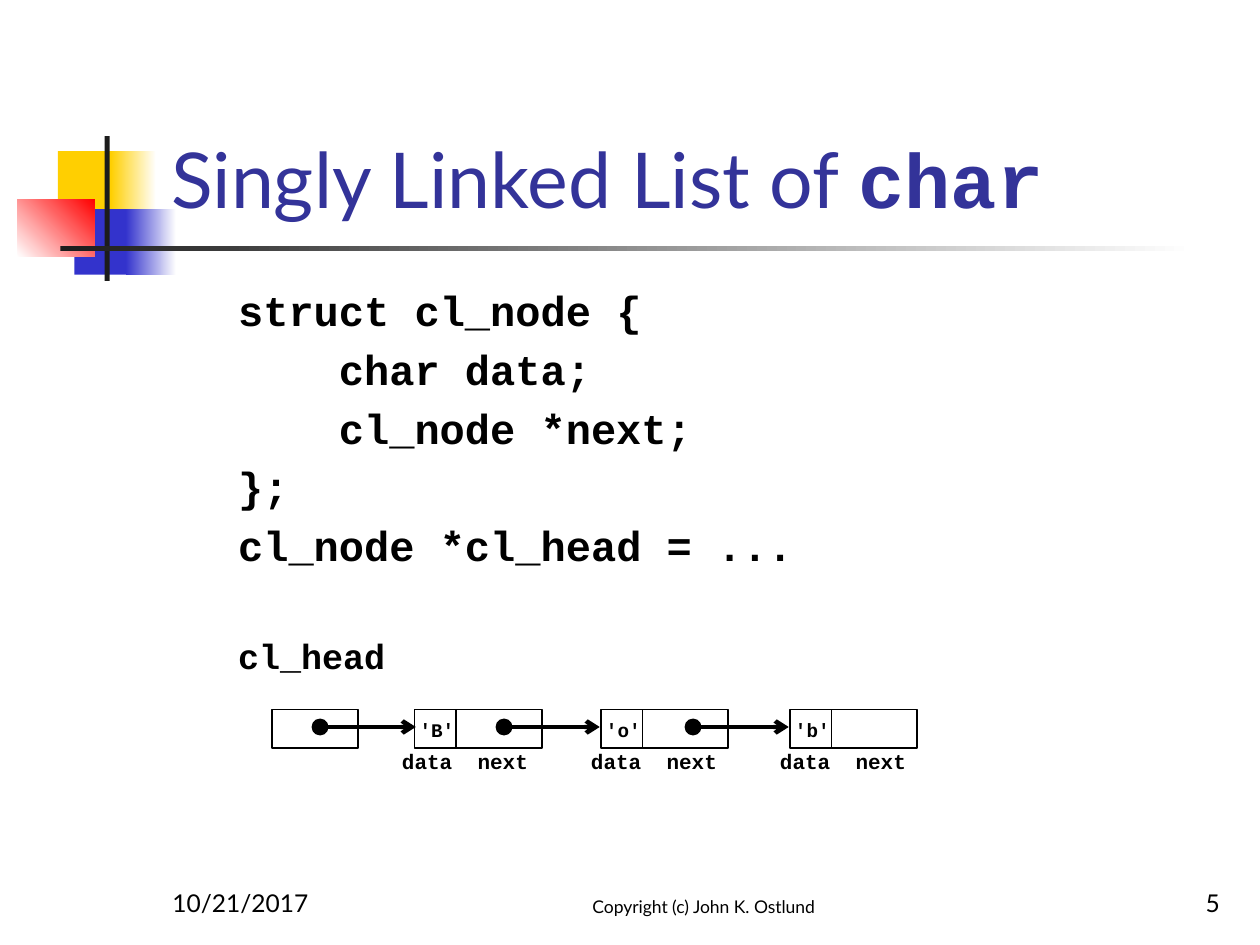
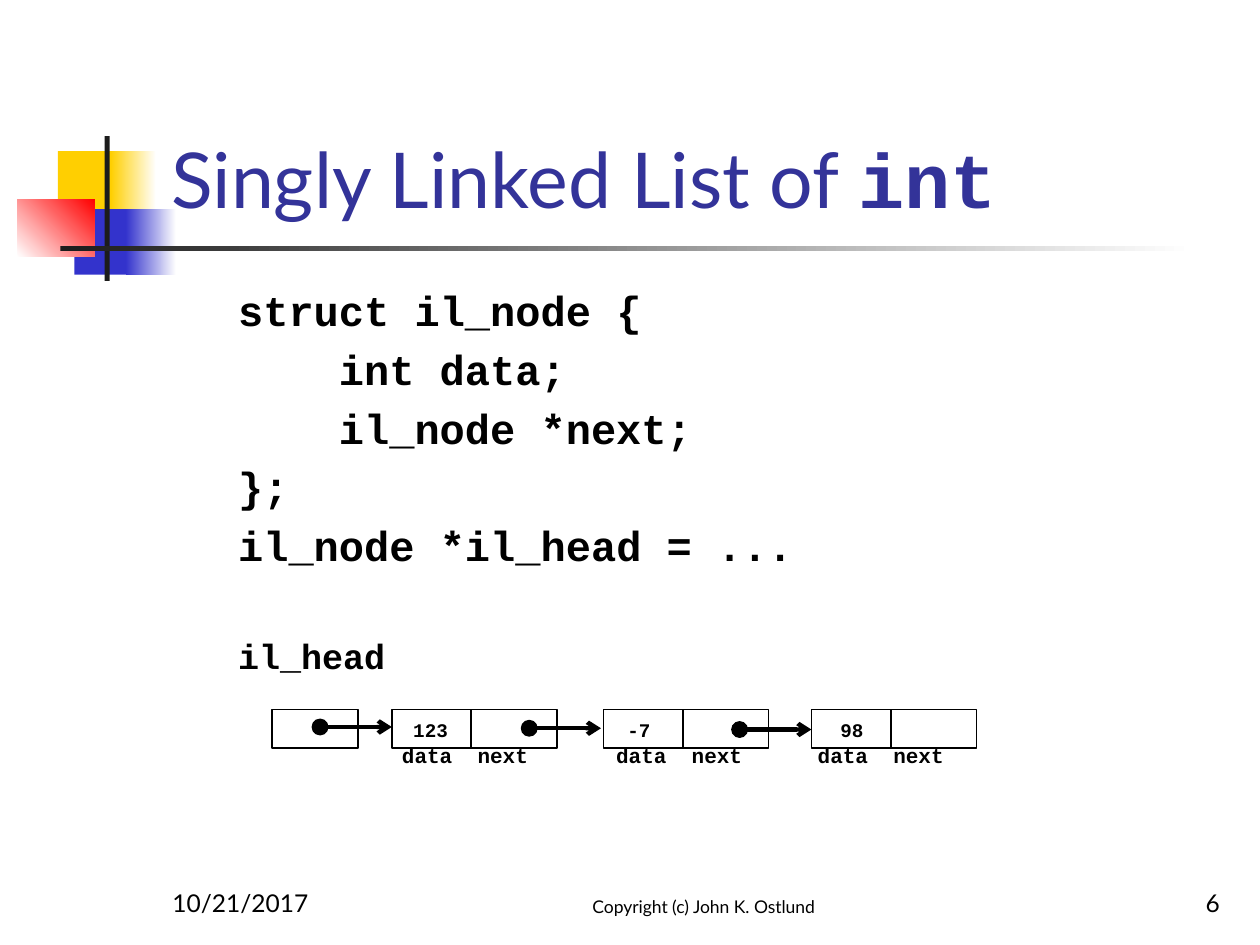
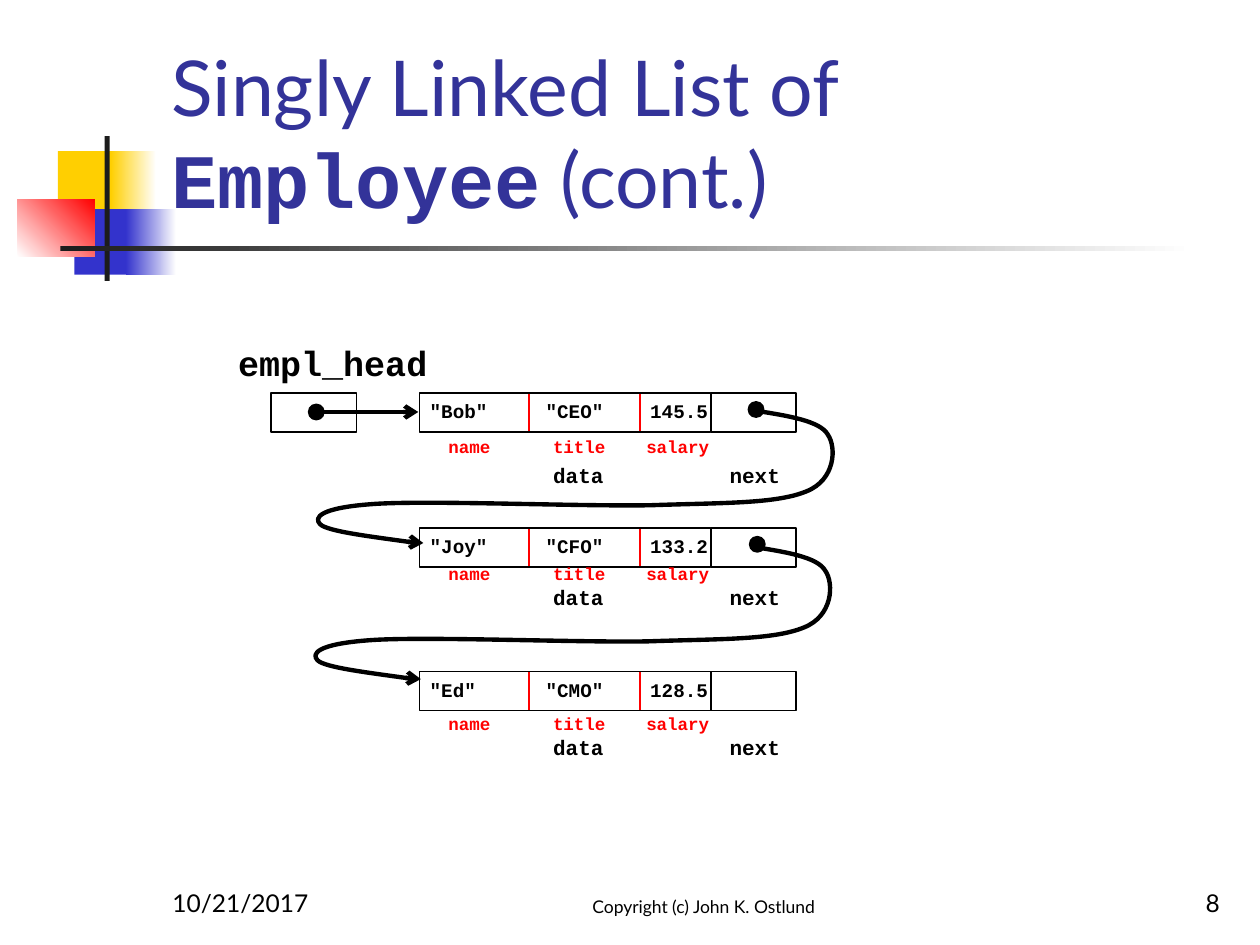
from pptx import Presentation
from pptx.dml.color import RGBColor
from pptx.enum.shapes import MSO_CONNECTOR, MSO_SHAPE
from pptx.enum.text import MSO_ANCHOR, PP_ALIGN
from pptx.oxml.ns import qn
from pptx.util import Inches, Pt
from lxml import etree

RECT, OVAL, STRAIGHT = MSO_SHAPE.RECTANGLE, MSO_SHAPE.OVAL, MSO_CONNECTOR.STRAIGHT
TOP, BOTTOM = MSO_ANCHOR.TOP, MSO_ANCHOR.BOTTOM
LEFT, CENTER, RIGHT = PP_ALIGN.LEFT, PP_ALIGN.CENTER, PP_ALIGN.RIGHT

COLORS = {"white": "FFFFFF", "black": "000000", "ink": "1C1C1C", "title": "333399",
          "yellow": "FFCF01", "blue": "3333CC", "red": "FF0000"}
SANS, MONO = "Lato", "Courier New"
CELL_H, NEXT_W, DOT = 0.31, 0.68, 0.12

# Cubic segments of the pointer that loops back to the next row, from its start:
# two control points and an end point each
LOOP = [(0.25, 0.04), (0.51, 0.08), (0.57, 0.19),
        (0.64, 0.29), (0.63, 0.55), (0.40, 0.64),
        (0.16, 0.74), (-0.27, 0.73), (-0.84, 0.75),
        (-1.41, 0.76), (-2.59, 0.71), (-3.03, 0.74),
        (-3.47, 0.77), (-3.51, 0.85), (-3.46, 0.90),
        (-3.40, 0.96), (-3.04, 1.00), (-2.69, 1.05)]


def color(name):
    """Return the named colour."""
    return RGBColor.from_string(COLORS[name])


def set_font(font, name, size, tint="black", bold=False):
    """Set face, size, colour and weight of a font."""
    font.name, font.size, font.bold = name, Pt(size), bold
    font.color.rgb = color(tint)


def add_box(slide, x, y, w, h, anchor=TOP):
    """Add a wrapping text box and return its text frame."""
    tf = slide.shapes.add_textbox(Inches(x), Inches(y), Inches(w), Inches(h)).text_frame
    tf.word_wrap, tf.vertical_anchor = True, anchor
    return tf


def add_label(slide, x, y, words, size, stops=(), tint="black"):
    """Add a line of bold code words from x, y, the later ones at tab stops."""
    width = (stops[-1] if stops else 0) + 0.7
    tf = add_box(slide, x, y, width, 0.2)
    tf.margin_left = tf.margin_right = tf.margin_top = tf.margin_bottom = 0
    p = tf.paragraphs[0]
    p.text = "\t".join(words)
    if stops:
        tabs = etree.SubElement(p._p.get_or_add_pPr(), qn("a:tabLst"))
        for stop in stops:
            etree.SubElement(tabs, qn("a:tab"), pos=str(Inches(stop)), algn="l")
    set_font(p.font, MONO, size, tint, True)


def add_shape(slide, x, y, w, h, kind=RECT, fill=None, fade=None, angle=0, line=None):
    """Add a preset shape, open, filled or fading from one colour to another."""
    sp = slide.shapes.add_shape(kind, Inches(x), Inches(y), Inches(w), Inches(h))
    sp.shadow.inherit = False
    if fade:
        sp.fill.gradient()
        sp.fill.gradient_angle = angle
        for stop, name in zip(sp.fill.gradient_stops, (fill, fade)):
            stop.color.rgb = color(name)
    elif fill:
        sp.fill.solid()
        sp.fill.fore_color.rgb = color(fill)
    else:
        sp.fill.background()
    if line:
        sp.line.color.rgb = color(line)
        sp.line.width = Pt(1)
    else:
        sp.line.fill.background()


def add_cell(slide, x, y, w, line="black"):
    """Add one open cell of a node."""
    add_shape(slide, x, y, w, CELL_H, line=line)


def add_arrow(slide, x1, y1, x2, y2):
    """Add a thick line with an open arrowhead at its end."""
    line = slide.shapes.add_connector(STRAIGHT, Inches(x1), Inches(y1), Inches(x2), Inches(y2))
    line.line.color.rgb = color("black")
    line.line.width = Pt(2.5)
    etree.SubElement(line.line._get_or_add_ln(), qn("a:tailEnd"), type="arrow")
    etree.SubElement(line._element.spPr, qn("a:effectLst"))


def add_dot(slide, x, y):
    """Add the dot where a pointer starts."""
    add_shape(slide, x, y, DOT, DOT, OVAL, fill="black", line="black")


def add_pointer(slide, x, y, length):
    """Add a dot at x, y with a straight arrow leaving it."""
    add_arrow(slide, x + DOT, y + DOT / 2, x + DOT + length, y + DOT / 2)
    add_dot(slide, x, y)


def add_loop(slide, x, y):
    """Add the curved pointer that starts at x, y and ends at the next row."""
    fb = slide.shapes.build_freeform(Inches(x), Inches(y))
    fb.add_line_segments([(Inches(x + dx), Inches(y + dy)) for dx, dy in LOOP], close=False)
    sp = fb.convert_to_shape()
    # Join every three straight segments into one cubic curve
    lines = list(sp._element.iter(qn("a:lnTo")))
    for i in range(0, len(lines), 3):
        curve = lines[i]
        curve.addprevious(cubic := etree.Element(qn("a:cubicBezTo")))
        for segment in lines[i:i + 3]:
            cubic.append(segment[0])
            segment.getparent().remove(segment)
    sp.shadow.inherit = False
    sp.fill.background()
    sp.line.color.rgb = color("black")
    sp.line.width = Pt(2.5)
    add_arrow(slide, x - 2.76, y + 1.04, x - 2.64, y + 1.05)


def add_ornament(slide, x, y):
    """Add the coloured squares and the crossing rules beside the title."""
    add_shape(slide, x + 0.32, y + 0.12, 0.48, 0.52, fill="yellow")
    add_shape(slide, x + 0.74, y + 0.12, 0.36, 0.52, fill="yellow", fade="white")
    add_shape(slide, x + 0.45, y + 0.58, 0.46, 0.52, fill="blue")
    add_shape(slide, x + 0.86, y + 0.58, 0.40, 0.52, fill="blue", fade="white")
    add_shape(slide, x, y + 0.5, 0.61, 0.46, fill="white", fade="red", angle=45)
    add_shape(slide, x + 0.69, y, 0.04, 1.15, fill="ink")
    add_shape(slide, x + 0.34, y + 0.87, 9, 0.04, fill="ink", fade="white")


def add_title(slide, x, y, w, h, kind, ending):
    """Add the title, with the element type set as code."""
    p = add_box(slide, x, y, w, h, BOTTOM).paragraphs[0]
    for text, face in (("Singly Linked List of ", SANS), (kind, MONO), (ending, SANS)):
        if text:
            r = p.add_run()
            r.text = text
            set_font(r.font, face, 44, "title", face == MONO)


def add_footer(slide, y, number):
    """Add date, copyright and slide number along the bottom."""
    for x, w, text, size, align in (
            (1.27, 2.08, "10/21/2017", 14, LEFT),
            (4, 3.17, "Copyright (c) John K. Ostlund", 10, CENTER),
            (7.7, 2.08, str(number), 14, RIGHT)):
        p = add_box(slide, x, y, w, 0.5, BOTTOM).paragraphs[0]
        p.text, p.alignment = text, align
        set_font(p.font, SANS, size)


def add_body(slide, x, y, w, h, code, head):
    """Add code lines, given as (indented, text), then the head pointer's name."""
    tf = add_box(slide, x, y, w, h)
    tf.margin_left = Inches(0.6)
    rows = [(indented, text, 24, 4.8) for indented, text in code]
    rows.append((False, head, 20, 36.5))
    for i, (indented, text, size, before) in enumerate(rows):
        p = tf.add_paragraph() if i else tf.paragraphs[0]
        p.text = text
        if i:
            p.space_before = Pt(before)
        set_font(p.font, MONO, size, bold=True)
        if indented:
            p._p.get_or_add_pPr().set("marL", str(Inches(0.8)))


def add_base(prs, number, kind, head, code=(), ending="", body_y=2.21):
    """Add a slide with everything that the slides share."""
    slide = prs.slides.add_slide(prs.slide_layouts[6])
    add_ornament(slide, 0.14, 1.08)
    add_title(slide, 1.26, 0.23, 8.52, 1.6, kind, ending)
    add_body(slide, 1.29, body_y, 8.5, 6.71 - body_y, code, head)
    add_footer(slide, 6.83, number)
    return slide


def add_list_slide(prs, number, kind, prefix, data_w, nodes, pointers, label_y):
    """Add a slide with a struct and its list drawn in one row.

    nodes: (left, value, value inset, label left); pointers: (left, top, length).
    """
    node = prefix + "_node"
    code = [(False, f"struct {node} {{"), (True, f"{kind} data;"), (True, f"{node} *next;"),
            (False, "};"), (False, f"{node} *{prefix}_head = ...")]
    slide = add_base(prs, number, kind, prefix + "_head", code)
    y = 5.63
    first = nodes[0][3]
    stops = [left - first + dx for *_, left in nodes for dx in (0, 0.6)]
    add_label(slide, first, label_y, ["data", "next"] * len(nodes), 12, stops[1:])
    add_cell(slide, 2.16, y, NEXT_W)
    for x, value, inset, _ in nodes:
        add_cell(slide, x, y, data_w)
        add_cell(slide, x + data_w, y, NEXT_W)
        add_label(slide, x + inset, y + 0.07, [value], 11)
    for x, top, length in pointers:
        add_pointer(slide, x, top, length)


def add_record(slide, x, y, values, field_y, label_y):
    """Add a three-field node at x, y with its captions."""
    add_cell(slide, x + 2.31, y, NEXT_W)
    add_cell(slide, x + 0.87, y, 0.88, "red")
    add_cell(slide, x, y, 2.31)
    add_label(slide, x + 0.08, y + 0.05, values, 11, (0.92, 1.75))
    add_label(slide, x + 0.23, field_y, ("name", "title", "salary"), 10, (0.83, 1.57), "red")
    add_label(slide, x + 1.06, label_y, ("data", "next"), 12, (1.4,))


def add_record_slide(prs, number):
    """Add the slide whose list of records runs down the page."""
    slide = add_base(prs, number, "Employee", "empl_head", ending=" (cont.)", body_y=2.66)
    x = 3.33
    add_cell(slide, 2.15, 3.12, NEXT_W)
    for y, values, field_y, label_y in (
            (3.12, ('"Bob"', '"CEO"', "145.5"), 3.46, 3.67),
            (4.19, ('"Joy"', '"CFO"', "133.2"), 4.47, 4.64),
            (5.33, ('"Ed"', '"CMO"', "128.5"), 5.66, 5.83)):
        add_record(slide, x, y, values, field_y, label_y)
    add_pointer(slide, 2.45, 3.21, 0.75)
    for dot_x, dot_y, loop_x, loop_y in ((5.94, 3.19, 6, 3.26), (5.95, 4.26, 5.98, 4.34)):
        add_dot(slide, dot_x, dot_y)
        add_loop(slide, loop_x, loop_y)


prs = Presentation()
prs.slide_width, prs.slide_height = Inches(10), Inches(7.5)
add_list_slide(prs, 5, "char", "cl", 0.33,
               [(3.29, "'B'", 0.04, 3.19), (4.77, "'o'", 0.04, 4.69), (6.27, "'b'", 0.04, 6.19)],
               [(2.48, 5.71, 0.7), (3.94, 5.71, 0.7), (5.44, 5.71, 0.7)], 5.94)
add_list_slide(prs, 6, "int", "il", 0.63,
               [(3.11, "123", 0.17, 3.19), (4.79, "-7", 0.19, 4.89), (6.44, "98", 0.23, 6.49)],
               [(2.48, 5.71, 0.51), (4.14, 5.72, 0.51), (5.81, 5.73, 0.51)], 5.89)
add_record_slide(prs, 8)
prs.save("out.pptx")
